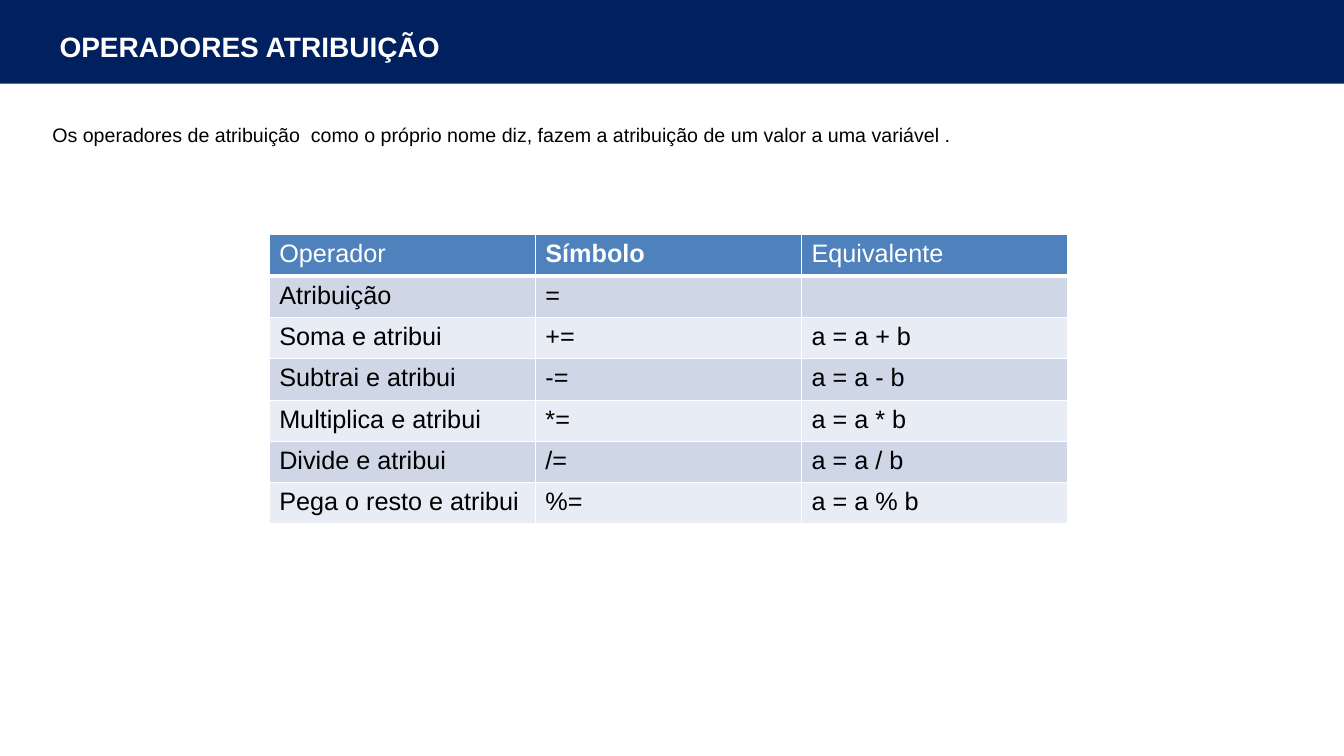
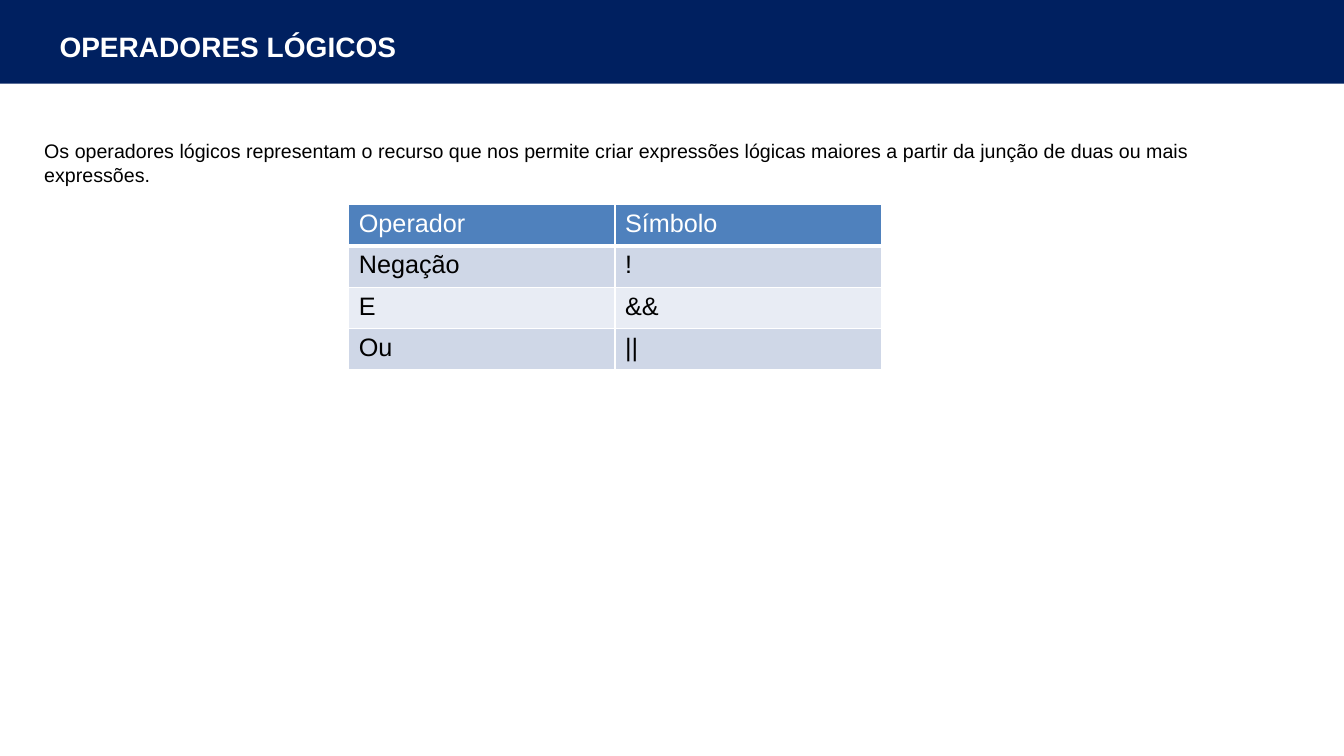
from dataclasses import dataclass

from lxml import etree
from pptx import Presentation
from pptx.dml.color import RGBColor
from pptx.enum.shapes import MSO_SHAPE
from pptx.enum.text import MSO_ANCHOR, PP_ALIGN
from pptx.oxml.ns import qn
from pptx.util import Inches, Pt

RECTANGLE = MSO_SHAPE.RECTANGLE
LEFT = PP_ALIGN.LEFT
TOP, MIDDLE = MSO_ANCHOR.TOP, MSO_ANCHOR.MIDDLE
TITLE_ONLY = 5


@dataclass(frozen=True)
class Theme:
    font: str = "Arial"
    navy: str = "002060"
    header: str = "4F81BD"
    stripes: tuple = ("CFD7E7", "E8ECF4")
    white: str = "FFFFFF"
    black: str = "000000"
    title_size: int = 20
    body_size: int = 14
    table_size: int = 18
    thin_line: int = 1
    thick_line: int = 3


THEME = Theme()


def write(frame, text, *, size, color=THEME.black, bold=False, anchor=TOP):
    frame.word_wrap = True
    frame.vertical_anchor = anchor
    para = frame.paragraphs[0]
    para.alignment = LEFT
    if not text:
        return
    span = para.add_run()
    span.text = text
    span.font.name = THEME.font
    span.font.size = Pt(size)
    span.font.bold = bold
    span.font.color.rgb = RGBColor.from_string(color)


def paint(target, color):
    target.fill.solid()
    target.fill.fore_color.rgb = RGBColor.from_string(color)


def set_borders(cell, **widths):
    """Draw white borders; widths in points are keyed by side: L, R, T, B."""
    properties = cell._tc.get_or_add_tcPr()
    for index, (side, width) in enumerate(widths.items()):
        line = etree.Element(qn(f"a:ln{side}"), w=str(Pt(width)))
        fill = etree.SubElement(line, qn("a:solidFill"))
        etree.SubElement(fill, qn("a:srgbClr"), val=THEME.white)
        properties.insert(index, line)


class LessonDeck:
    def __init__(self):
        self.deck = Presentation()
        self.deck.slide_width = Inches(13.33)
        self.deck.slide_height = Inches(7.5)
        self.layout = self.deck.slide_layouts[TITLE_ONLY]
        self.page = None

    def add_page(self, title):
        first = self.page is None
        self.page = self.deck.slides.add_slide(self.layout)
        if first:
            self.add_layout_band()
        box = self.page.shapes.title
        box.left, box.top = Inches(0.49), Inches(0.14)
        box.width, box.height = Inches(4.54), Inches(0.64)
        write(box.text_frame, title, size=THEME.title_size,
              color=THEME.white, bold=True, anchor=MIDDLE)

    def add_layout_band(self):
        """Draw the title band and move it to the back of the shared layout."""
        band = self.page.shapes.add_shape(
            RECTANGLE, 0, 0, self.deck.slide_width, Inches(0.83))
        band.shadow.inherit = False
        paint(band, THEME.navy)
        band.line.fill.background()
        self.layout.shapes.element.insert(2, band.element)

    def add_text(self, text, left, top, height):
        box = self.page.shapes.add_textbox(
            Inches(left), Inches(top), Inches(12.42), Inches(height))
        write(box.text_frame, text, size=THEME.body_size)

    def add_table(self, rows, left, top, bold_headings=()):
        column_width, row_height = Inches(2.64), Inches(0.41)
        columns = len(rows[0])
        table = self.page.shapes.add_table(
            len(rows), columns, Inches(left), Inches(top),
            column_width * columns, row_height * len(rows)).table
        for column in table.columns:
            column.width = column_width
        for row_index, values in enumerate(rows):
            table.rows[row_index].height = row_height
            heading = row_index == 0
            fill = THEME.header if heading else THEME.stripes[(row_index - 1) % 2]
            color = THEME.white if heading else THEME.black
            above = THEME.thick_line if row_index == 1 else THEME.thin_line
            below = THEME.thick_line if heading else THEME.thin_line
            for column_index, value in enumerate(values):
                cell = table.cell(row_index, column_index)
                paint(cell, fill)
                set_borders(cell, L=THEME.thin_line, R=THEME.thin_line,
                            T=above, B=below)
                write(cell.text_frame, value, size=THEME.table_size, color=color,
                      bold=heading and value in bold_headings)


def main():
    lesson = LessonDeck()

    lesson.add_page("OPERADORES ATRIBUIÇÃO")
    lesson.add_text(
        "Os operadores de atribuição  como o próprio nome diz, fazem a "
        "atribuição de um valor a uma variável .", 0.42, 1.17, 0.34)
    lesson.add_table([
        ("Operador", "Símbolo", "Equivalente"),
        ("Atribuição", "=", ""),
        ("Soma e atribui", "+=", "a = a + b"),
        ("Subtrai e atribui", "-=", "a = a - b"),
        ("Multiplica e atribui", "*=", "a = a * b"),
        ("Divide e atribui", "/=", "a = a / b"),
        ("Pega o resto e atribui", "%=", "a = a % b"),
    ], 2.67, 2.33, bold_headings=("Símbolo",))

    lesson.add_page("OPERADORES LÓGICOS")
    lesson.add_text(
        "Os operadores lógicos representam o recurso que nos permite criar "
        "expressões lógicas maiores a partir da junção de duas ou mais "
        "expressões.", 0.34, 1.33, 0.57)
    lesson.add_table([
        ("Operador", "Símbolo"),
        ("Negação", "!"),
        ("E", "&&"),
        ("Ou", "||"),
    ], 3.46, 2.03)

    lesson.deck.save("out.pptx")


if __name__ == "__main__":
    main()
